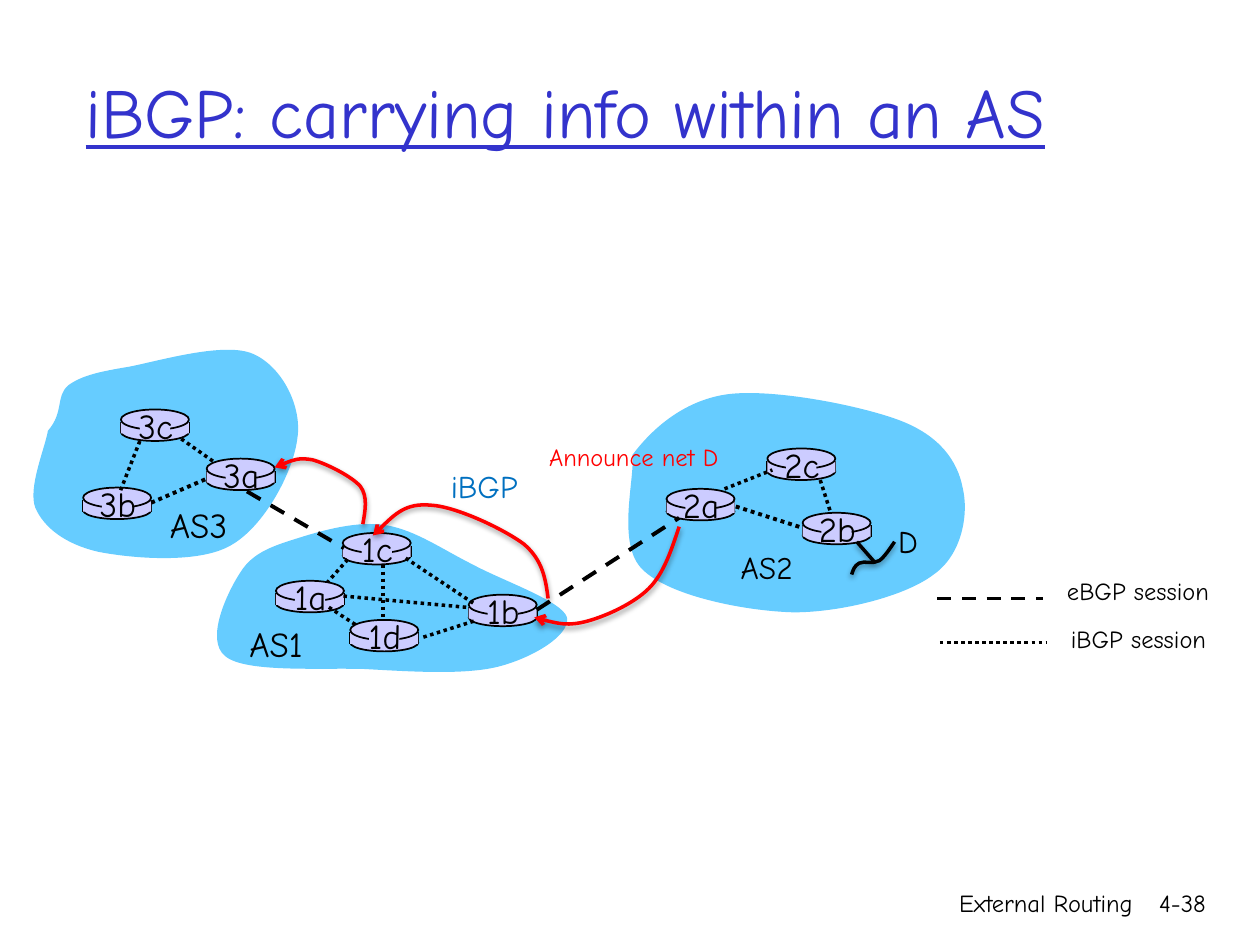
from lxml.etree import SubElement
from pptx import Presentation
from pptx.dml.color import RGBColor
from pptx.enum.dml import MSO_LINE as Dash
from pptx.enum.shapes import MSO_CONNECTOR as Link, MSO_SHAPE as Preset
from pptx.enum.text import MSO_ANCHOR as Anchor, MSO_AUTO_SIZE as Fit, PP_ALIGN as Align
from pptx.oxml.ns import qn
from pptx.util import Cm, Pt

COLORS = {"title": "3333CC", "ink": "000000", "cloud": "66CCFF",
          "router": "CCCCFF", "route": "FF0000", "ibgp": "0070C0"}
FONT = "Comic Neue"


def grid(*inches):
    """Turn positions on the inch grid into lengths."""
    return [Cm(value * 2.54) for value in inches]


class Diagram:
    def __init__(self, page):
        self.page = page
        self.shapes = page.shapes

    def color(self, name):
        return RGBColor.from_string(COLORS[name])

    def add_span(self, frame, text, size, color="ink", align=Align.LEFT):
        para = frame.paragraphs[0]
        para.alignment = align
        span = para.add_run()
        span.text = text
        span.font.name, span.font.size = FONT, Pt(size)
        span.font.color.rgb = self.color(color)
        return span

    def title(self, text, *place):
        box = self.shapes.title
        box.left, box.top, box.width, box.height = grid(*place)
        box.text_frame.auto_size = Fit.NONE
        box.text_frame.vertical_anchor = Anchor.MIDDLE
        self.add_span(box.text_frame, text, 40, "title").font.underline = True

    def text(self, text, place, size, color="ink", align=Align.LEFT, wrap=False, fit=True):
        frame = self.shapes.add_textbox(*grid(*place)).text_frame
        frame.word_wrap = wrap
        frame.auto_size = Fit.SHAPE_TO_FIT_TEXT if fit else Fit.NONE
        self.add_span(frame, text, size, color, align)

    def outline(self, shape, color=None, width=1, dash=None):
        if color is None:
            shape.line.fill.background()
            return
        shape.line.color.rgb = self.color(color)
        shape.line.width = Pt(width)
        if dash:
            shape.line.dash_style = dash

    def effects(self, shape, shadow=False):
        """Replace the theme shadow by none, or by a soft one below."""
        effects = SubElement(shape._element.spPr, qn("a:effectLst"))
        if shadow:
            outer = SubElement(effects, qn("a:outerShdw"), blurRad="40000", dist="20000",
                               dir="5400000", rotWithShape="0")
            tint = SubElement(outer, qn("a:srgbClr"), val=COLORS["ink"])
            SubElement(tint, qn("a:alpha"), val="38000")

    def preset(self, kind, place, line=None):
        shape = self.shapes.add_shape(kind, *grid(*place))
        shape.fill.solid()
        shape.fill.fore_color.rgb = self.color("router")
        self.outline(shape, line)
        self.effects(shape)

    def line(self, ends, width=2, dash=None, shadow=False):
        link = self.shapes.add_connector(Link.STRAIGHT, *grid(*ends))
        self.outline(link, "ink", width, dash)
        self.effects(link, shadow)

    def curve(self, points, closed=False):
        """Outline of cubic curves: a start, then three points for each curve."""
        start, *rest = [grid(*point) for point in points]
        builder = self.shapes.build_freeform(*start)
        builder.add_line_segments(rest, close=closed)
        shape = builder.convert_to_shape()
        route = next(shape._element.iter(qn("a:path")))
        steps = route.findall(qn("a:lnTo"))[:len(rest)]
        for first in range(0, len(rest), 3):
            bend = SubElement(route, qn("a:cubicBezTo"))
            steps[first].addprevious(bend)
            for step in steps[first:first + 3]:
                bend.append(step[0])
                route.remove(step)
        return shape

    def cloud(self, points):
        shape = self.curve(points + points[:1], closed=True)
        shape.fill.solid()
        shape.fill.fore_color.rgb = self.color("cloud")
        self.outline(shape)
        self.effects(shape)

    def stroke(self, points, color="ink", arrow=False):
        shape = self.curve(points)
        shape.fill.background()
        self.outline(shape, color, 2)
        if arrow:
            SubElement(shape._element.spPr.find(qn("a:ln")), qn("a:tailEnd"), type="arrow")
        self.effects(shape, shadow=True)

    def router(self, name, x, y):
        width = 0.54
        self.preset(Preset.OVAL, (x, y + 0.11, width, 0.14), "ink")
        for side in (x, x + width):
            self.line((side, y + 0.1, side, y + 0.19), 1)
        self.preset(Preset.RECTANGLE, (x, y + 0.1, width, 0.09))
        self.preset(Preset.OVAL, (x, y, width, 0.16), "ink")
        self.preset(Preset.RECTANGLE, (x + 0.15, y + 0.02, 0.24, 0.2))
        self.text(name, (x + 0.02, y - 0.09, 0.51, 0.43), 20, align=Align.CENTER)


CLOUDS = [
    # AS2
    [(5.02, 3.61), (5.17, 3.41), (5.42, 3.18), (5.77, 3.13), (6.13, 3.08), (6.84, 3.22),
     (7.15, 3.34), (7.46, 3.46), (7.6, 3.66), (7.64, 3.87), (7.69, 4.07), (7.64, 4.4),
     (7.41, 4.56), (7.19, 4.73), (6.68, 4.86), (6.3, 4.86), (5.91, 4.85), (5.31, 4.73),
     (5.1, 4.52), (4.89, 4.32), (5.04, 3.8)],
    # AS3
    [(0.38, 3.42), (0.51, 3.27), (0.44, 3.15), (0.54, 3.06), (0.65, 2.98), (0.79, 2.95),
     (1.03, 2.91), (1.28, 2.86), (1.79, 2.71), (2.01, 2.81), (2.24, 2.91), (2.4, 3.23),
     (2.36, 3.48), (2.33, 3.74), (2.1, 4.18), (1.83, 4.33), (1.57, 4.48), (1.03, 4.43),
     (0.78, 4.38), (0.52, 4.32), (0.35, 4.19), (0.28, 4.03), (0.22, 3.87), (0.36, 3.55)],
    # AS1
    [(1.91, 4.54), (2.01, 4.38), (2.18, 4.33), (2.37, 4.27), (2.56, 4.21), (2.84, 4.13),
     (3.07, 4.17), (3.3, 4.21), (3.51, 4.36), (3.75, 4.48), (3.99, 4.61), (4.46, 4.77),
     (4.5, 4.9), (4.53, 5.04), (4.23, 5.22), (3.96, 5.29), (3.69, 5.36), (3.25, 5.33),
     (2.89, 5.31), (2.53, 5.3), (1.95, 5.34), (1.79, 5.21), (1.62, 5.08), (1.81, 4.69)],
]
ROUTERS = {"3b": (0.66, 3.87), "1d": (2.78, 4.92), "3a": (1.64, 3.64),
           "1c": (2.72, 4.23), "2a": (5.29, 3.88), "1a": (2.19, 4.61),
           "2c": (6.09, 3.56), "2b": (6.37, 4.07), "1b": (3.72, 4.72),
           "3c": (0.96, 3.25)}
EBGP_LINKS = [(1.96, 3.9, 2.73, 4.35), (4.26, 4.84, 5.39, 4.11)]
WIDE_IBGP_LINKS = [(5.84, 4.02, 6.37, 4.19), (1.2, 3.99, 1.64, 3.8)]
IBGP_LINKS = [(2.76, 4.44, 2.6, 4.62), (3.04, 4.48, 3.04, 4.91), (3.22, 4.43, 3.76, 4.79),
              (3.76, 4.93, 3.35, 5.06), (3.7, 4.82, 2.72, 4.73), (5.75, 3.88, 6.13, 3.73),
              (1.69, 3.66, 1.42, 3.47), (1.11, 3.5, 0.95, 3.91), (6.51, 3.81, 6.59, 4.06),
              (2.61, 4.82, 2.84, 4.97)]
ANNOUNCEMENTS = [
    # 1b to 1c, 1c to 3a, 2a to 1b
    [(4.35, 4.75), (4.33, 4.6), (4.31, 4.45), (4.16, 4.32), (4, 4.2), (3.62, 4.02),
     (3.42, 4.01), (3.22, 3.99), (3.09, 4.12), (2.96, 4.25)],
    [(2.88, 4.16), (2.9, 4.05), (2.92, 3.94), (2.86, 3.86), (2.79, 3.78), (2.59, 3.68),
     (2.48, 3.65), (2.37, 3.63), (2.27, 3.67), (2.18, 3.71)],
    [(5.39, 4.18), (5.33, 4.36), (5.27, 4.55), (5.15, 4.67), (5.03, 4.79), (4.81, 4.89),
     (4.66, 4.93), (4.51, 4.97), (4.38, 4.94), (4.24, 4.9)],
]
NETWORK_D = [(6.76, 4.56), (6.77, 4.53), (6.78, 4.49), (6.82, 4.47), (6.86, 4.45),
             (6.93, 4.48), (6.98, 4.45), (7.02, 4.42), (7.06, 4.36), (7.1, 4.3)]


def main():
    deck = Presentation()
    deck.slide_width, deck.slide_height = Cm(25.4), Cm(19.05)
    diagram = Diagram(deck.slides.add_slide(deck.slide_layouts[5]))

    # Title and footer
    diagram.title("iBGP: carrying info within an AS", 0.58, 0.25, 8.5, 1.25)
    for text, left, width in [("External Routing", 5.92, 3.17), ("4-38", 8.93, 0.74)]:
        diagram.text(text, (left, 7, width, 0.5), 14, align=Align.RIGHT, wrap=True, fit=False)

    # Legend
    diagram.line((7.44, 4.75, 8.28, 4.75), dash=Dash.DASH)
    diagram.line((7.46, 5.1, 8.3, 5.1), dash=Dash.ROUND_DOT)
    diagram.text("eBGP session", (8.37, 4.52, 1.37, 0.33), 14)
    diagram.text("iBGP session", (8.4, 4.9, 1.32, 0.33), 14)

    # Autonomous systems and their routers
    for points in CLOUDS:
        diagram.cloud(points)
    for name, place in ROUTERS.items():
        diagram.router(name, *place)
    diagram.text("AS3", (1.25, 3.95, 0.77, 0.43), 20)
    diagram.text("AS1", (1.88, 4.89, 0.72, 0.43), 20)
    diagram.text("AS2", (5.78, 4.3, 0.71, 0.4), 18)

    # Sessions between and inside the systems
    for links, width, dash in [(EBGP_LINKS, 2.25, Dash.DASH),
                               (WIDE_IBGP_LINKS, 2.25, Dash.ROUND_DOT),
                               (IBGP_LINKS, 2, Dash.ROUND_DOT)]:
        for ends in links:
            diagram.line(ends, width, dash)

    # Network D and the route of its announcement
    diagram.line((6.8, 4.3, 6.94, 4.46), shadow=True)
    diagram.stroke(NETWORK_D)
    for points in ANNOUNCEMENTS:
        diagram.stroke(points, "route", arrow=True)
    diagram.text("Announce net D", (4.26, 3.46, 1.66, 0.34), 14, "route", wrap=True)
    diagram.text("D", (7.03, 4.09, 0.59, 0.41), 18, wrap=True)
    diagram.text("iBGP", (3.48, 3.66, 0.8, 0.4), 18, "ibgp", wrap=True)

    deck.save("out.pptx")


if __name__ == "__main__":
    main()
